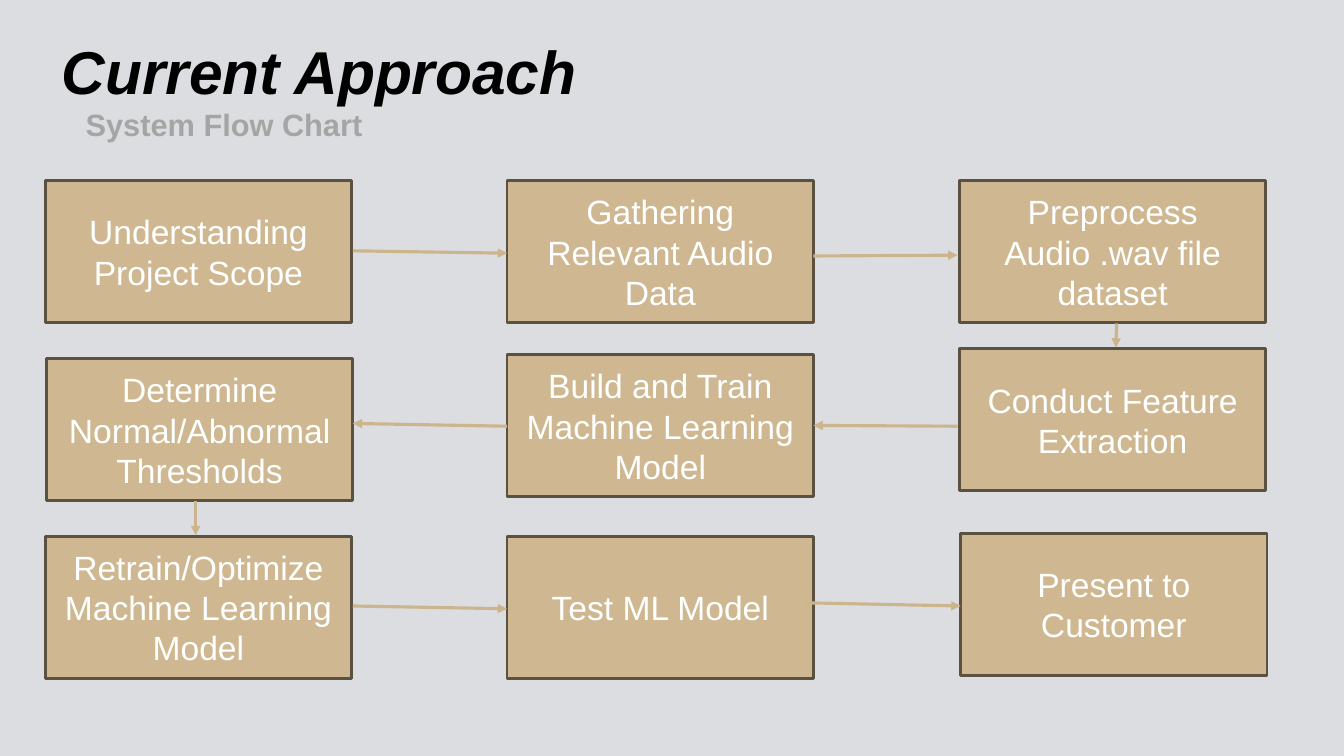
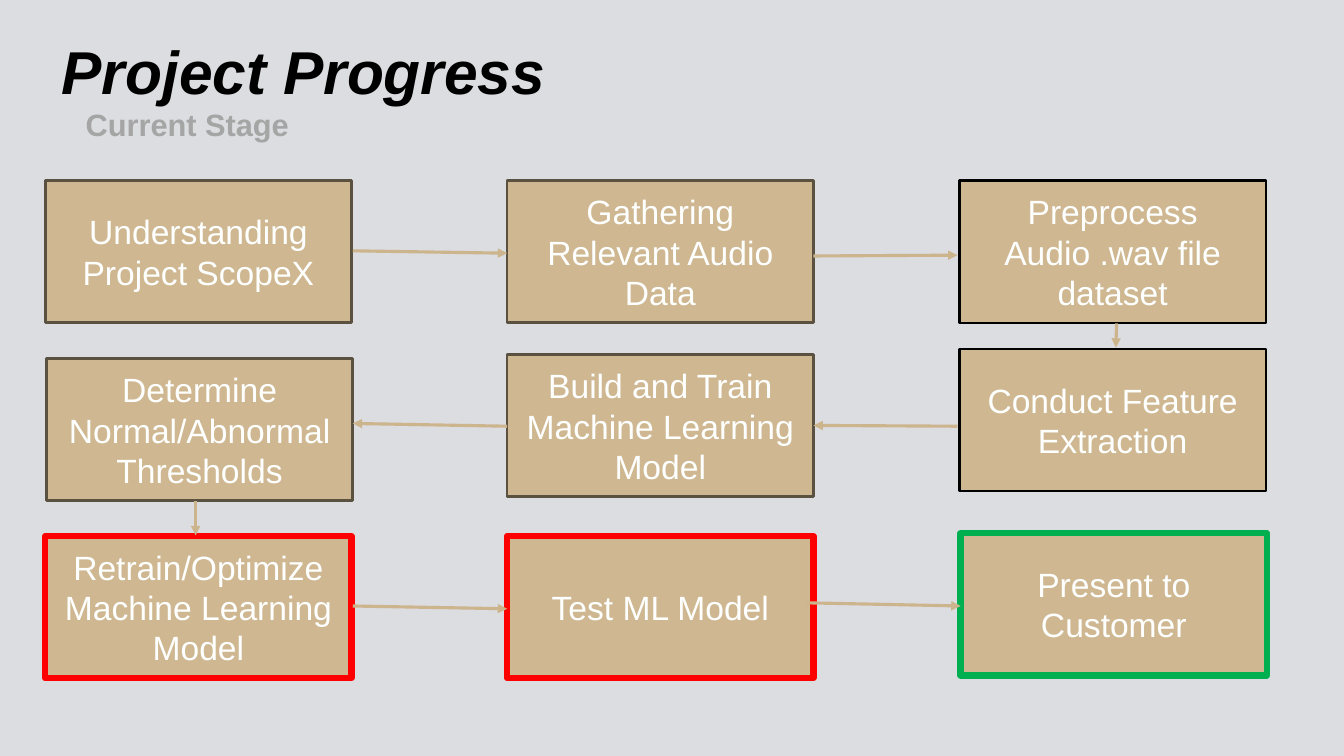
from dataclasses import dataclass
from typing import NamedTuple

from lxml.etree import SubElement
from pptx import Presentation
from pptx.dml.color import RGBColor
from pptx.enum.shapes import MSO_CONNECTOR, MSO_SHAPE
from pptx.enum.text import MSO_ANCHOR, MSO_AUTO_SIZE, PP_ALIGN
from pptx.oxml.ns import qn
from pptx.util import Cm, Pt


@dataclass(frozen=True)
class Theme:
    font: str = "Arial"
    background: str = "DCDDE0"
    title: str = "000000"
    subtitle: str = "A5A5A5"
    box_fill: str = "CFB891"
    box_text: str = "FEFFFF"
    arrow: str = "CCB48C"
    title_size: float = 43.2
    subtitle_size: float = 22
    box_size: float = 24
    arrow_width: float = 2.25


class Outline(NamedTuple):
    color: str
    width: float


class Step(NamedTuple):
    text: str
    left: float
    top: float
    outline: Outline


class Arrow(NamedTuple):
    start_x: float
    start_y: float
    end_x: float
    end_y: float


class Page(NamedTuple):
    title: str
    subtitle: str
    steps: list[Step]


THEME = Theme()
PLAIN = Outline("5B5140", 2)
BLACK = Outline("000000", 1.5)
RED = Outline("FF0000", 4.5)
GREEN = Outline("00B050", 4.5)

BOX_WIDTH, BOX_HEIGHT = 7.72, 3.58
LEFT, MIDDLE, RIGHT = 1.14, 12.78, 24.18
TOP_ROW, BOTTOM_ROW = 4.55, 13.51

ARROWS = [
    Arrow(8.89, 6.32, 12.78, 6.38),
    Arrow(20.5, 6.45, 24.13, 6.43),
    Arrow(28.14, 8.15, 28.12, 8.76),
    Arrow(24.13, 10.74, 20.5, 10.72),
    Arrow(12.78, 10.74, 8.89, 10.67),
    Arrow(4.93, 12.62, 4.93, 13.49),
    Arrow(8.89, 15.27, 12.78, 15.34),
    Arrow(20.32, 15.19, 24.21, 15.27),
]

FLOW = [
    Step("Understanding Project Scope", LEFT, TOP_ROW, PLAIN),
    Step("Gathering Relevant Audio Data", MIDDLE, TOP_ROW, PLAIN),
    Step("Preprocess Audio .wav file dataset", RIGHT, TOP_ROW, PLAIN),
    Step("Conduct Feature Extraction", RIGHT, 8.79, PLAIN),
    Step("Build and Train Machine Learning Model", MIDDLE, 8.94, PLAIN),
    Step("Determine Normal/Abnormal Thresholds", 1.17, 9.04, PLAIN),
    Step("Retrain/Optimize Machine Learning Model", LEFT, BOTTOM_ROW, PLAIN),
    Step("Test ML Model", MIDDLE, BOTTOM_ROW, PLAIN),
    Step("Present to Customer", 24.21, 13.44, PLAIN),
]

PROGRESS_OUTLINES = [PLAIN, PLAIN, BLACK, BLACK, PLAIN, PLAIN, RED, RED, GREEN]
PROGRESS = [step._replace(outline=outline)
            for step, outline in zip(FLOW, PROGRESS_OUTLINES)]
PROGRESS[0] = PROGRESS[0]._replace(text="Understanding Project ScopeX")

PAGES = [
    Page("Current Approach", "System Flow Chart", FLOW),
    Page("Project Progress", "Current Stage", PROGRESS),
]


def add_span(para, text: str, size: float, color: str,
             bold: bool = False, italic: bool = False) -> None:
    span = para.add_run()
    span.text = text
    span.font.name = THEME.font
    span.font.size = Pt(size)
    span.font.bold = bold
    span.font.italic = italic
    span.font.color.rgb = RGBColor.from_string(color)


def place_heading(box, left: float, top: float, width: float, height: float,
                  anchor: MSO_ANCHOR):
    """Move a placeholder, set its frame and return its first paragraph."""
    box.left, box.top, box.width, box.height = map(Cm, (left, top, width, height))
    frame = box.text_frame
    frame.auto_size = MSO_AUTO_SIZE.NONE
    frame.word_wrap = True
    frame.vertical_anchor = anchor
    para = frame.paragraphs[0]
    para.alignment = PP_ALIGN.LEFT
    para.line_spacing = 0.9
    para.space_before = Pt(0)
    return para


def add_headings(slide, page: Page) -> None:
    para = place_heading(slide.shapes.title, 1.3, 1.07, 31.29, 1.63,
                         MSO_ANCHOR.MIDDLE)
    add_span(para, page.title, THEME.title_size, THEME.title,
             bold=True, italic=True)

    para = place_heading(slide.placeholders[1], 1.27, 2.64, 31.32, 1.02,
                         MSO_ANCHOR.TOP)
    properties = para._p.get_or_add_pPr()
    properties.set("marL", str(Cm(1.27)))
    properties.set("indent", str(-Cm(0.635)))
    SubElement(properties, qn("a:buNone"))
    add_span(para, page.subtitle, THEME.subtitle_size, THEME.subtitle, bold=True)


def add_step(slide, step: Step) -> None:
    box = slide.shapes.add_shape(
        MSO_SHAPE.RECTANGLE, Cm(step.left), Cm(step.top),
        Cm(BOX_WIDTH), Cm(BOX_HEIGHT))
    box.shadow.inherit = False
    box.fill.solid()
    box.fill.fore_color.rgb = RGBColor.from_string(THEME.box_fill)
    box.line.color.rgb = RGBColor.from_string(step.outline.color)
    box.line.width = Pt(step.outline.width)
    frame = box.text_frame
    frame.word_wrap = True
    frame.vertical_anchor = MSO_ANCHOR.MIDDLE
    para = frame.paragraphs[0]
    para.alignment = PP_ALIGN.CENTER
    add_span(para, step.text, THEME.box_size, THEME.box_text)


def add_arrow(slide, arrow: Arrow) -> None:
    connector = slide.shapes.add_connector(
        MSO_CONNECTOR.STRAIGHT, *map(Cm, arrow))
    connector.line.color.rgb = RGBColor.from_string(THEME.arrow)
    connector.line.width = Pt(THEME.arrow_width)
    SubElement(connector.line._get_or_add_ln(), qn("a:tailEnd"), type="triangle")
    SubElement(connector._element.spPr, qn("a:effectLst"))


def add_page(deck, page: Page) -> None:
    slide = deck.slides.add_slide(deck.slide_layouts[1])
    add_headings(slide, page)
    for step in page.steps:
        add_step(slide, step)
    for arrow in ARROWS:
        add_arrow(slide, arrow)


def main() -> None:
    deck = Presentation()
    deck.slide_width, deck.slide_height = Cm(33.87), Cm(19.05)
    background = deck.slide_master.background.fill
    background.solid()
    background.fore_color.rgb = RGBColor.from_string(THEME.background)
    for page in PAGES:
        add_page(deck, page)
    deck.save("out.pptx")


if __name__ == "__main__":
    main()
